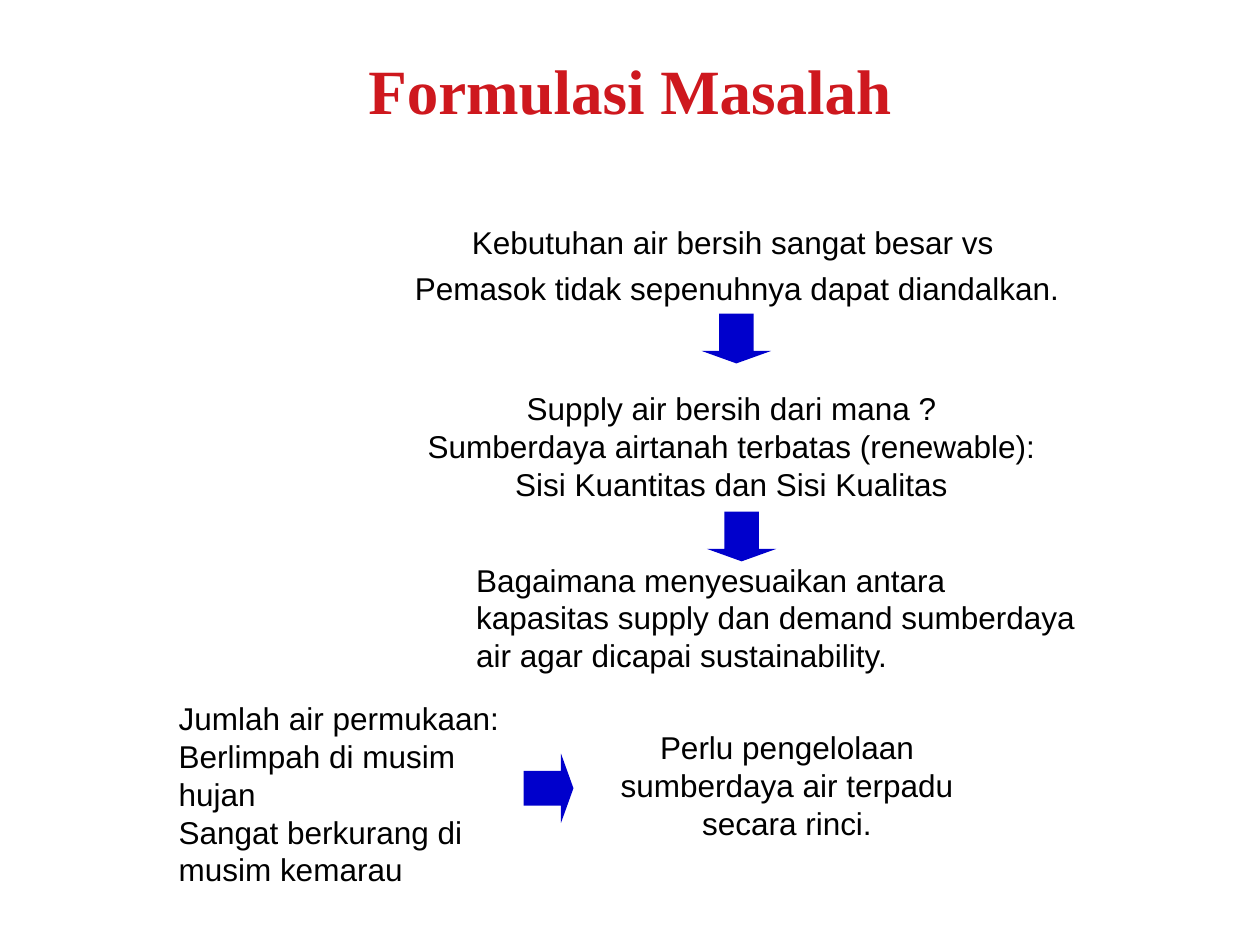
from pptx import Presentation
from pptx.dml.color import RGBColor
from pptx.enum.shapes import MSO_SHAPE
from pptx.enum.text import MSO_ANCHOR, PP_ALIGN
from pptx.util import Pt

COLORS = {"title": "CE181E", "text": "000000", "arrow": "0000CC", "back": "FFFFFF"}
TITLE = {"name": "Times New Roman", "size": Pt(36), "bold": True}
BODY = {"name": "Arial", "size": Pt(18), "bold": False}
CENTER, LEFT = PP_ALIGN.CENTER, PP_ALIGN.LEFT

# Content: lines, (left, top, width, height) in points, alignment
title = (["Formulasi Masalah"], (36, 22.3, 648, 56.9), CENTER)
needs = (["Kebutuhan air bersih sangat besar vs ",
          "Pemasok tidak sepenuhnya dapat diandalkan."],
         (208.1, 123.8, 425.5, 58.3), CENTER)
notes = [
    (["Supply air bersih dari mana ?",
      "Sumberdaya airtanah terbatas (renewable):",
      "Sisi Kuantitas dan Sisi Kualitas"],
     (219.6, 218.9, 396.7, 72), CENTER),
    (["Bagaimana menyesuaikan antara kapasitas supply dan demand "
      "sumberdaya air agar dicapai sustainability."],
     (265, 316.8, 360, 72), LEFT),
    (["Perlu pengelolaan sumberdaya air terpadu secara rinci."],
     (333.4, 412.6, 232.6, 72), CENTER),
    (["Jumlah air permukaan:",
      "Berlimpah di musim hujan",
      "Sangat berkurang di musim kemarau"],
     (95, 396, 215.3, 115.2), LEFT),
]

# Arrows: left, top, rotation
ARROW_SIZE = (39.6, 28.4)
arrows = [(401, 179.3, 0), (404, 292.4, 0), (293.7, 436.2, 270)]

prs = Presentation()
prs.slide_width, prs.slide_height = Pt(720), Pt(540)
s = prs.slides.add_slide(prs.slide_layouts[6])
s.background.fill.solid()
s.background.fill.fore_color.rgb = RGBColor.from_string(COLORS["back"])


def add_text(lines, box, align, font=BODY, color="text", anchor=MSO_ANCHOR.TOP, para=None):
    tf = s.shapes.add_textbox(*map(Pt, box)).text_frame
    tf.word_wrap = True
    tf.vertical_anchor = anchor
    for i, line in enumerate(lines):
        p = tf.add_paragraph() if i else tf.paragraphs[0]
        p.alignment = align
        if para:
            for key, value in para.items():
                p._p.get_or_add_pPr().set(key, str(value))
        if i and para:
            p.space_before = Pt(4.5)
        r = p.add_run()
        r.text = line
        for key, value in font.items():
            setattr(r.font, key, value)
        r.font.color.rgb = RGBColor.from_string(COLORS[color])


# Title and the opening statement with its hanging indent
add_text(*title, font=TITLE, color="title", anchor=MSO_ANCHOR.MIDDLE)
add_text(*needs, para={"marL": Pt(26.6), "indent": -Pt(25.9)})

# Remaining statements
for note in notes:
    add_text(*note)

# Arrows between the statements
for left, top, rotation in arrows:
    sp = s.shapes.add_shape(MSO_SHAPE.DOWN_ARROW, *map(Pt, (left, top, *ARROW_SIZE)))
    sp.adjustments[0], sp.adjustments[1] = 0.5, 0.25
    sp.rotation = rotation
    sp.shadow.inherit = False
    sp.fill.solid()
    sp.fill.fore_color.rgb = RGBColor.from_string(COLORS["arrow"])
    sp.line.fill.background()

prs.save("out.pptx")
